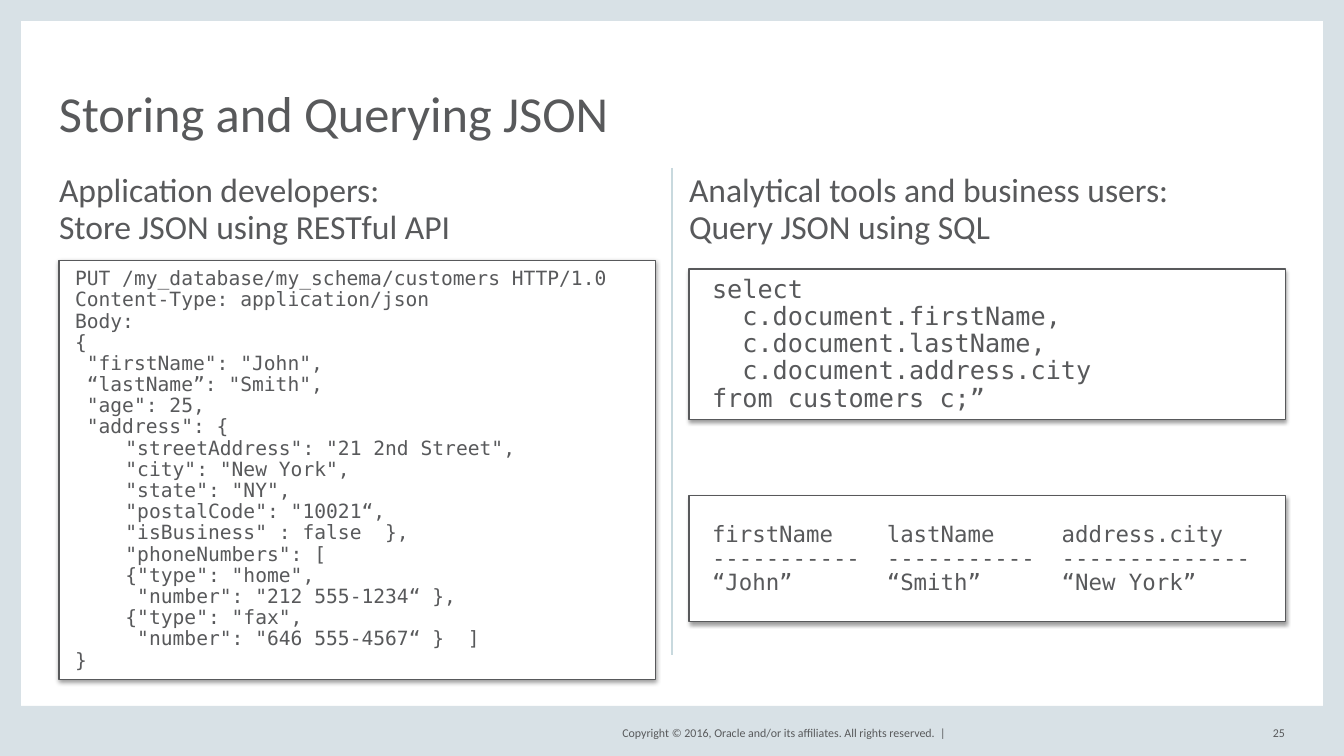
"""Builds the slide on storing and querying JSON."""
from lxml.etree import SubElement
from pptx import Presentation
from pptx.dml.color import RGBColor
from pptx.enum.shapes import MSO_CONNECTOR, MSO_SHAPE
from pptx.enum.text import MSO_ANCHOR, PP_ALIGN
from pptx.oxml.ns import qn
from pptx.util import Emu, Pt

WHITE = RGBColor(0xFF, 0xFF, 0xFF)
FRAME = RGBColor(0xD8, 0xE1, 0xE6)
DIVIDER = RGBColor(0xC8, 0xD9, 0xDE)
GRAY = RGBColor(0x58, 0x59, 0x5B)

LEFT, RIGHT, COLUMN = 59, 689, 597

REQUEST = """PUT /my_database/my_schema/customers HTTP/1.0
Content-Type: application/json
Body:
{
 "firstName": "John",
 “lastName”: "Smith",
 "age": 25,
 "address": {
\t"streetAddress": "21 2nd Street",
\t"city": "New York",
\t"state": "NY",
\t"postalCode": "10021“,
\t"isBusiness" : false  },
\t"phoneNumbers": [
\t{"type": "home",
\t "number": "212 555-1234“ },
\t{"type": "fax",
\t "number": "646 555-4567“ }  ]
}"""

QUERY = """select
  c.document.firstName,
  c.document.lastName,
  c.document.address.city
from customers c;”"""

RESULT = """firstName    lastName     address.city
-----------  -----------  --------------
“John”       “Smith”      “New York”"""


def px(*lengths):
    return [Emu(round(length * 914400 / 100.8)) for length in lengths]


def write(shape, text, size, font="Calibri", spacing=0.9, anchor=MSO_ANCHOR.MIDDLE,
          align=PP_ALIGN.LEFT, wrap=True, inset=0):
    frame = shape.text_frame
    frame.margin_left, frame.margin_right, frame.margin_top, frame.margin_bottom = px(inset, 0, 0, 0)
    frame.word_wrap = wrap
    frame.vertical_anchor = anchor
    frame.text = text
    for para in frame.paragraphs:
        para.alignment = align
        para.line_spacing = spacing
        for span in para.runs:
            span.font.name = font
            span.font.size = Pt(size)
            span.font.color.rgb = GRAY


deck = Presentation()
deck.slide_width, deck.slide_height = px(1344, 756)
page = deck.slides.add_slide(deck.slide_layouts[6])
page.background.fill.solid()
page.background.fill.fore_color.rgb = WHITE

for bounds in [(0, 0, 21, 756), (1323, 0, 21, 756), (0, 706, 1344, 50), (0, 0, 1344, 21)]:
    band = page.shapes.add_shape(MSO_SHAPE.RECTANGLE, *px(*bounds))
    band.shadow.inherit = False
    band.fill.solid()
    band.fill.fore_color.rgb = FRAME
    band.line.fill.background()

divider = page.shapes.add_connector(MSO_CONNECTOR.STRAIGHT, *px(672, 168, 672, 655))
divider.line.color.rgb = DIVIDER
divider.line.width = Pt(1.5)
SubElement(divider._element.spPr, qn("a:effectLst"))

title = page.shapes.add_textbox(*px(LEFT, 44, 1227, 98))
write(title, "Storing and Querying JSON", 36, spacing=0.8, anchor=MSO_ANCHOR.BOTTOM)

for left, heading in [
    (LEFT, "Application developers:\nStore JSON using RESTful API"),
    (RIGHT, "Analytical tools and business users:\nQuery JSON using SQL"),
]:
    box = page.shapes.add_textbox(*px(left, 168, COLUMN, 84))
    write(box, heading, 24)

for left, top, height, code, size, inset in [
    (LEFT, 260, 420, REQUEST, 14, 16),
    (RIGHT, 269, 151, QUERY, 18, 23),
    (RIGHT, 496, 126, RESULT, 16, 23),
]:
    panel = page.shapes.add_shape(MSO_SHAPE.RECTANGLE, *px(left, top, COLUMN, height))
    panel.fill.solid()
    panel.fill.fore_color.rgb = WHITE
    panel.line.color.rgb = GRAY
    panel.line.width = Pt(0.75)
    panel.shadow.inherit = False
    effects = panel._element.spPr.find(qn("a:effectLst"))
    shadow = SubElement(effects, qn("a:outerShdw"), blurRad=str(Pt(3.1)), dist=str(Pt(1.6)),
                        dir="5400000", rotWithShape="0")
    shade = SubElement(shadow, qn("a:srgbClr"), val="000000")
    SubElement(shade, qn("a:alpha"), val="38000")
    write(panel, code, size, font="DejaVu Sans Mono", inset=inset)

for left, width, text in [
    (593, 353, "Copyright © 2016, Oracle and/or its affiliates. All rights reserved.  |"),
    (1243, 42, "25"),
]:
    footer = page.shapes.add_textbox(*px(left, 723, width, 20))
    write(footer, text, 8.5, spacing=1.0, align=PP_ALIGN.RIGHT, wrap=False)

deck.save("out.pptx")
